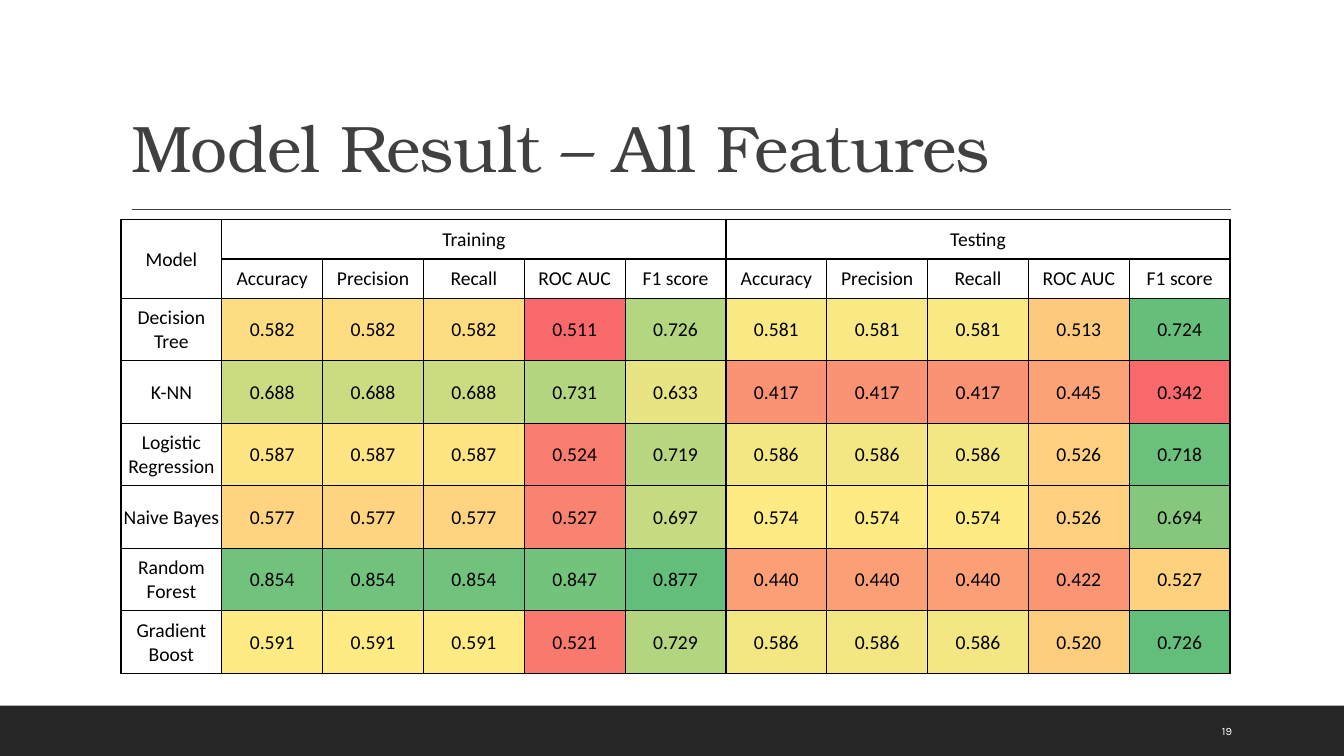
import pptx
import pptx.dml.color
import pptx.enum.shapes
import pptx.enum.text
import pptx.oxml
import pptx.oxml.ns
import pptx.util

COLORS = {
    "ink": "404040", "bar": "262626", "white": "FFFFFF", "black": "000000",
    "low": "F8696B", "middle": "FFEB84", "high": "63BE7B",
}
FONTS = {"title": "TeX Gyre Bonum", "table": "Calibri", "number": "Karla"}
COLUMN, ROW = 1, 0.5
ALIGN = pptx.enum.text.PP_ALIGN
ANCHOR = pptx.enum.text.MSO_ANCHOR

METRICS = ["Accuracy", "Precision", "Recall", "ROC AUC", "F1 score"]
GROUPS = ["Training", "Testing"]
RESULTS = {
    "Decision Tree": [0.582, 0.582, 0.582, 0.511, 0.726, 0.581, 0.581, 0.581, 0.513, 0.724],
    "K-NN": [0.688, 0.688, 0.688, 0.731, 0.633, 0.417, 0.417, 0.417, 0.445, 0.342],
    "Logistic Regression": [0.587, 0.587, 0.587, 0.524, 0.719, 0.586, 0.586, 0.586, 0.526, 0.718],
    "Naive Bayes": [0.577, 0.577, 0.577, 0.527, 0.697, 0.574, 0.574, 0.574, 0.526, 0.694],
    "Random Forest": [0.854, 0.854, 0.854, 0.847, 0.877, 0.440, 0.440, 0.440, 0.422, 0.527],
    "Gradient Boost": [0.591, 0.591, 0.591, 0.521, 0.729, 0.586, 0.586, 0.586, 0.520, 0.726],
}


def rgb(value):
    return pptx.dml.color.RGBColor.from_string(value)


def across(columns):
    return pptx.util.Inches(columns * COLUMN)


def down(rows):
    return pptx.util.Inches(rows * ROW)


def blend(start, end, share):
    pairs = zip(bytes.fromhex(start), bytes.fromhex(end))
    return "".join(f"{round(a + (b - a) * share):02X}" for a, b in pairs)


def heat_color(value, scores):
    low, middle, high = min(scores), sorted(scores)[len(scores) // 2], max(scores)
    if value <= middle:
        return blend(COLORS["low"], COLORS["middle"], (value - low) / (middle - low))
    return blend(COLORS["middle"], COLORS["high"], (value - middle) / (high - middle))


class SlideBuilder:
    def __init__(self, presentation):
        self.slide = presentation.slides.add_slide(presentation.slide_layouts[5])

    def format_text(self, text_frame, font, size, color, align=ALIGN.LEFT):
        for paragraph in text_frame.paragraphs:
            paragraph.alignment = align
            for run in paragraph.runs:
                run.font.name = FONTS[font]
                run.font.size = pptx.util.Pt(size)
                run.font.color.rgb = rgb(COLORS[color])

    def bar(self, column, row, width, height):
        shape = self.slide.shapes.add_shape(
            pptx.enum.shapes.MSO_SHAPE.RECTANGLE,
            across(column), down(row), across(width), down(height))
        shape.shadow.inherit = False
        shape.fill.solid()
        shape.fill.fore_color.rgb = rgb(COLORS["bar"])
        shape.line.fill.background()

    def rule(self, start, end, row):
        connector = self.slide.shapes.add_connector(
            pptx.enum.shapes.MSO_CONNECTOR.STRAIGHT,
            across(start), down(row), across(end), down(row))
        connector.line.color.rgb = rgb(COLORS["ink"])
        connector.line.width = pptx.util.Pt(1)
        connector._element.spPr.append(pptx.oxml.parse_xml(
            f"<a:effectLst {pptx.oxml.ns.nsdecls('a')}/>"))

    def title(self, text, column, row, width, height):
        shape = self.slide.shapes.title
        shape.left, shape.top = across(column), down(row)
        shape.width, shape.height = across(width), down(height)
        text_frame = shape.text_frame
        text_frame.text = text
        text_frame.auto_size = pptx.enum.text.MSO_AUTO_SIZE.NONE
        text_frame.vertical_anchor = ANCHOR.BOTTOM
        self.format_text(text_frame, "title", 47, "ink")
        paragraph = text_frame.paragraphs[0]
        paragraph.line_spacing = 0.9
        paragraph.runs[0]._r.get_or_add_rPr().set("spc", "-50")

    def page_number(self, text, column, row, width, height):
        shape = self.slide.shapes.add_textbox(
            across(column), down(row), across(width), down(height))
        text_frame = shape.text_frame
        text_frame.word_wrap = True
        text_frame.vertical_anchor = ANCHOR.MIDDLE
        text_frame.text = text
        self.format_text(text_frame, "number", 8, "white")

    def cell(self, cell, text, fill=None):
        cell.margin_left = cell.margin_right = cell.margin_top = pptx.util.Inches(0.01)
        cell.margin_bottom = 0
        cell.vertical_anchor = ANCHOR.MIDDLE
        cell.text = text
        self.format_text(cell.text_frame, "table", 14, "black", ALIGN.CENTER)
        properties = cell._tc.get_or_add_tcPr()
        for side in "LRTB":
            properties.append(pptx.oxml.parse_xml(
                f'<a:ln{side} {pptx.oxml.ns.nsdecls("a")} w="12700"><a:solidFill>'
                f'<a:srgbClr val="{COLORS["black"]}"/></a:solidFill></a:ln{side}>'))
        if fill:
            cell.fill.solid()
            cell.fill.fore_color.rgb = rgb(fill)
        else:
            cell.fill.background()

    def results_table(self, column, row, header_height, body_height):
        count = len(METRICS)
        heights = [header_height] * 2 + [body_height] * len(RESULTS)
        width = 1 + count * len(GROUPS)
        table = self.slide.shapes.add_table(
            len(heights), width, across(column), down(row),
            across(width), down(sum(heights))).table
        table.first_row = table.horz_banding = False
        for table_column in table.columns:
            table_column.width = across(1)
        for table_row, height in zip(table.rows, heights):
            table_row.height = down(height)

        group_row = ["Model"]
        for group in GROUPS:
            group_row += [group] + [""] * (count - 1)
        for index, text in enumerate(group_row):
            self.cell(table.cell(0, index), text)
        for index, text in enumerate([""] + METRICS * len(GROUPS)):
            self.cell(table.cell(1, index), text)
        table.cell(0, 0).merge(table.cell(1, 0))
        for first in range(1, width, count):
            table.cell(0, first).merge(table.cell(0, first + count - 1))

        group_scores = [
            [score for scores in RESULTS.values() for score in scores[first:first + count]]
            for first in range(0, width - 1, count)]
        for row_index, (model, scores) in enumerate(RESULTS.items(), 2):
            self.cell(table.cell(row_index, 0), model)
            for index, score in enumerate(scores):
                self.cell(table.cell(row_index, index + 1), f"{score:.3f}",
                          heat_color(score, group_scores[index // count]))


presentation = pptx.Presentation()
presentation.slide_width = pptx.util.Inches(13.33)
presentation.slide_height = pptx.util.Inches(7.5)
builder = SlideBuilder(presentation)
builder.bar(0, 14, 13.33, 1)
builder.rule(1.31, 12.21, 4.16)
builder.title("Model Result – All Features", 1.2, 0.62, 11, 3.18)
builder.page_number("19", 12.02, 14.1, 0.85, 0.8)
builder.results_table(1.2, 4.36, 0.78, 1.24)
presentation.save("out.pptx")
